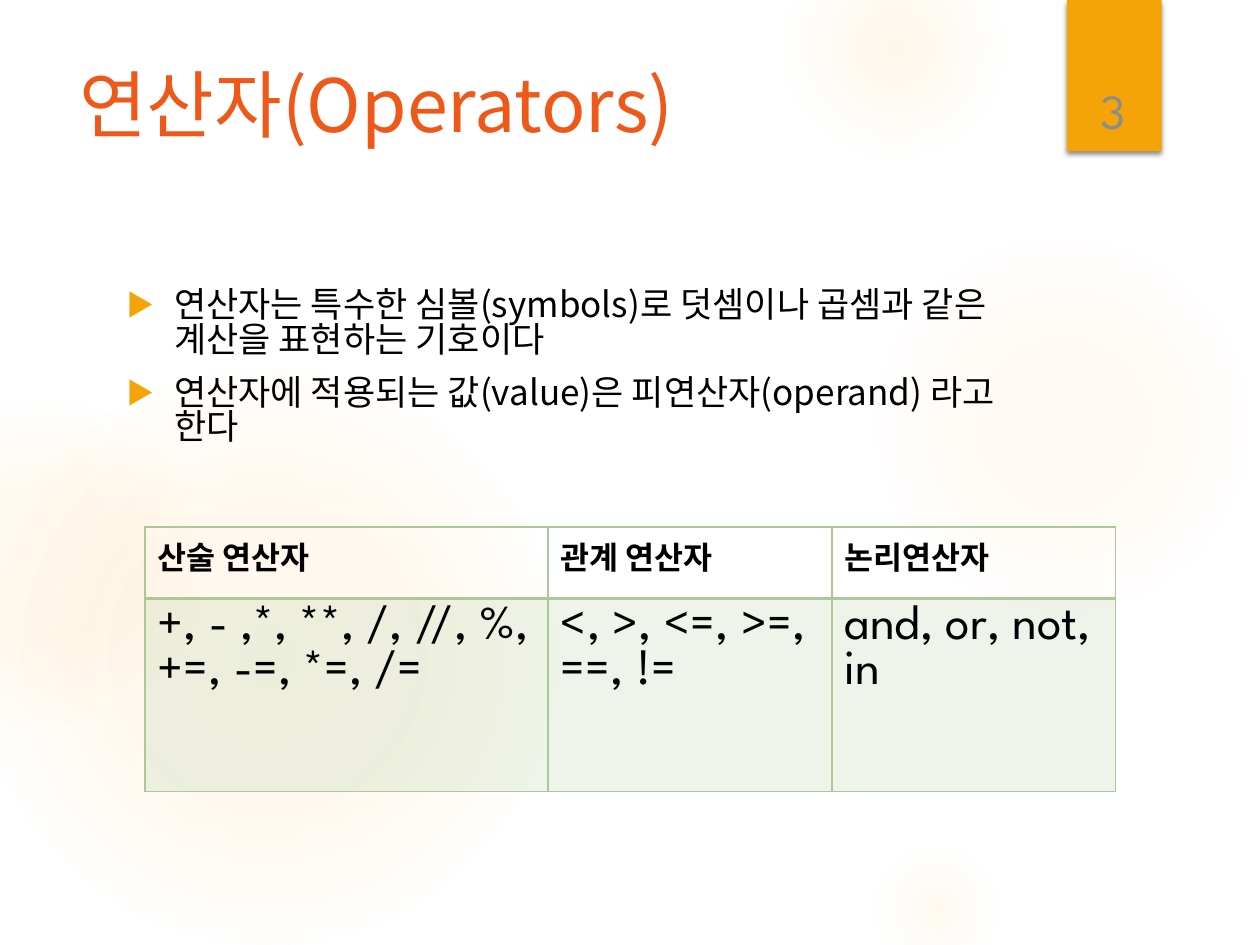
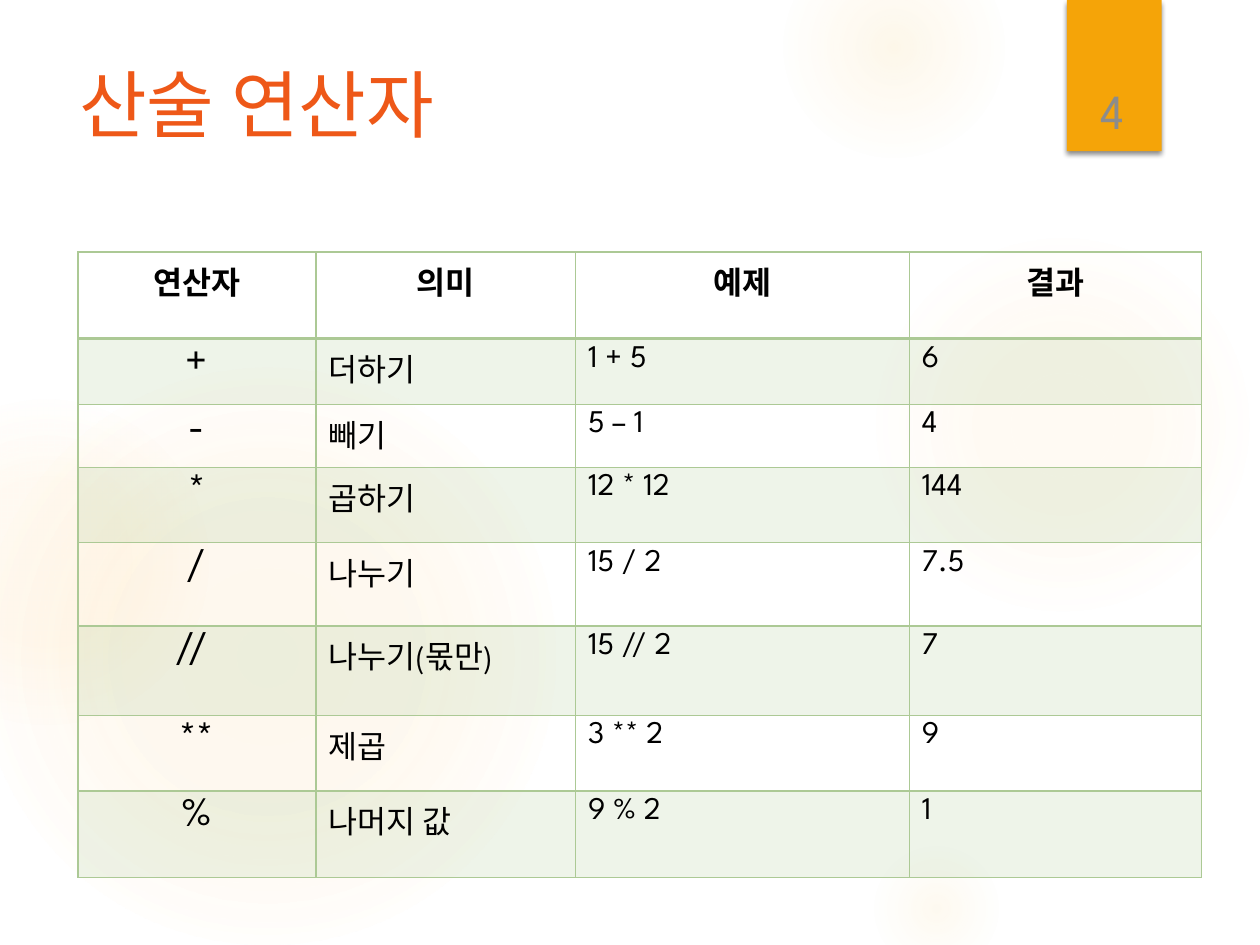
from lxml import etree
from pptx import Presentation
from pptx.dml.color import RGBColor
from pptx.enum.shapes import MSO_SHAPE
from pptx.enum.text import MSO_ANCHOR, PP_ALIGN
from pptx.oxml.ns import qn
from pptx.util import Cm, Pt

OVAL, RECT = MSO_SHAPE.OVAL, MSO_SHAPE.RECTANGLE
TOP, BOTTOM = MSO_ANCHOR.TOP, MSO_ANCHOR.BOTTOM
LEFT, CENTER = PP_ALIGN.LEFT, PP_ALIGN.CENTER
LATIN, KOREAN = "League Spartan", "Noto Sans CJK KR"
NO_STYLE = "{2D5ABB26-0587-4C30-8999-92F81FD0307C}"
COLORS = {"title": "EE5818", "text": "000000", "band": "F5A408",
          "glow": "FAC96A", "number": "8C8C8C", "table": "ACC995"}

GLOWS = [
    (17.5, 4.65, 7.82, [(0, 7), (36, 6), (69, 0)]),
    (15.8, -1.27, 4.45, [(0, 14), (36, 7), (73, 0)]),
    (17.5, 16.94, 2.74, [(0, 10), (31, 5), (66, 0)]),
    (-0.43, 7.42, 11.63, [(0, 11), (36, 10), (75, 0)]),
    (-2.34, 8.05, 6.55, [(0, 8), (36, 8), (72, 0)]),
]
BAND_BOX = (21.51, 0, 1.91, 3.05)
NUMBER_BOX = (21.56, 0.81, 1.75, 2.13)
TITLE_BOX = (1.35, 1.27, 19.61, 3.89)
BODY_BOX = (2.31, 5.72, 18.64, 11.66)

DEFINITIONS = [
    "연산자는 특수한 심볼(symbols)로 덧셈이나 곱셈과 같은 계산을 표현하는 기호이다",
    "연산자에 적용되는 값(value)은 피연산자(operand) 라고 한다",
]
KINDS = [
    ("산술 연산자", "관계 연산자", "논리연산자"),
    ("+, - ,*, **, /, //, %, +=, -=, *=, /=", "<, >, <=, >=, ==, !=",
     "and, or, not, in"),
]
ARITHMETIC = [
    ("연산자", "의미", "예제", "결과"),
    ("+", "더하기", "1 + 5", "6"),
    ("-", "빼기", "5 – 1", "4"),
    ("*", "곱하기", "12 * 12", "144"),
    ("/", "나누기", "15 / 2", "7.5"),
    ("// ", "나누기(몫만)", "15 // 2", "7"),
    ("**", "제곱", "3 ** 2", "9"),
    ("%", "나머지 값", "9 % 2", "1"),
]


def rgb(name):
    """Return a named colour."""
    return RGBColor.from_string(COLORS[name])


def child(parent, tag, **attrs):
    """Append a DrawingML element to its parent."""
    return etree.SubElement(parent, qn(f"a:{tag}"), {k: str(v) for k, v in attrs.items()})


def add_run(p, text, size, color, font, bold=False):
    """Append a formatted run to a paragraph."""
    r = p.add_run()
    r.text = text
    r.font.size, r.font.bold, r.font.name = Pt(size), bold, font
    r.font.color.rgb = rgb(color)
    child(r._r.get_or_add_rPr(), "ea", typeface=KOREAN)


def add_text_frame(s, box, anchor=TOP):
    """Add a wrapping text box and return its text frame."""
    tf = s.shapes.add_textbox(*map(Cm, box)).text_frame
    tf.word_wrap = True
    tf.vertical_anchor = anchor
    return tf


def add_plain_shape(s, kind, box):
    """Add a preset shape without line or inherited shadow."""
    sp = s.shapes.add_shape(kind, *map(Cm, box))
    sp.shadow.inherit = False
    sp.line.fill.background()
    return sp


def add_glow(s, x, y, size, stops):
    """Add a round glow that fades out from its centre."""
    sp = add_plain_shape(s, OVAL, (x, y, size, size))
    sp.fill.gradient()
    grad = sp._element.spPr.find(qn("a:gradFill"))
    for old in list(grad):
        grad.remove(old)
    stop_list = child(grad, "gsLst")
    for position, alpha in stops:
        stop = child(stop_list, "gs", pos=position * 1000)
        clr = child(stop, "srgbClr", val=COLORS["glow"])
        child(clr, "alpha", val=alpha * 1000)
    path = child(grad, "path", path="circle")
    child(path, "fillToRect", l=50000, t=50000, r=50000, b=50000)


def add_band(s, box):
    """Add the page-number band with its soft shadow."""
    sp = add_plain_shape(s, RECT, box)
    sp.fill.solid()
    sp.fill.fore_color.rgb = rgb("band")
    effects = sp._element.spPr.find(qn("a:effectLst"))
    shadow = child(effects, "outerShdw", blurRad=Pt(3), dist=Pt(2),
                   dir=90 * 60000, rotWithShape=0)
    child(child(shadow, "srgbClr", val=COLORS["text"]), "alpha", val=45000)


def add_base_slide(prs, title, number):
    """Add a slide with glows, band, title and page number."""
    s = prs.slides.add_slide(prs.slide_layouts[6])
    for glow in GLOWS:
        add_glow(s, *glow)
    add_band(s, BAND_BOX)
    p = add_text_frame(s, TITLE_BOX).paragraphs[0]
    p.line_spacing = 0.9
    add_run(p, title, 42, "title", KOREAN)
    p = add_text_frame(s, NUMBER_BOX, BOTTOM).paragraphs[0]
    p.alignment = CENTER
    add_run(p, str(number), 28, "number", LATIN)
    return s


def add_bullets(s, box, items):
    """Add paragraphs with triangular bullets and hanging indents."""
    tf = add_text_frame(s, box)
    for i, item in enumerate(items):
        p = tf.add_paragraph() if i else tf.paragraphs[0]
        pPr = p._p.get_or_add_pPr()
        pPr.set("marL", str(Cm(0.95)))
        pPr.set("indent", str(-Cm(0.95)))
        child(child(pPr, "buClr"), "srgbClr", val=COLORS["band"])
        child(pPr, "buSzPct", val=80000)
        child(pPr, "buFont", typeface=KOREAN)
        child(pPr, "buChar", char="▶")
        p.line_spacing = 0.83
        if i:
            p.space_before = Pt(10)
        add_run(p, item, 20, "text", KOREAN)


def style_cell(cell, row):
    """Draw cell borders and tint every odd row."""
    tcPr = cell._tc.get_or_add_tcPr()
    for side in "LRTB":
        under_header = (row, side) in ((0, "B"), (1, "T"))
        ln = child(tcPr, f"ln{side}", w=Pt(2 if under_header else 1))
        child(child(ln, "solidFill"), "srgbClr", val=COLORS["table"])
    if row % 2:
        cell.fill.solid()
        cell.fill.fore_color.rgb = rgb("table")
        clr = tcPr.find(qn("a:solidFill")).find(qn("a:srgbClr"))
        child(clr, "alpha", val=20000)
    else:
        cell.fill.background()


def add_grid(s, x, y, widths, heights, rows, text_format):
    """Add a table; text_format maps row and column to size and alignment."""
    box = (x, y, sum(widths), sum(heights))
    table = s.shapes.add_table(len(rows), len(widths), *map(Cm, box)).table
    table._tbl.tblPr.find(qn("a:tableStyleId")).text = NO_STYLE
    for column, width in zip(table.columns, widths):
        column.width = Cm(width)
    for i, (height, texts) in enumerate(zip(heights, rows)):
        table.rows[i].height = Cm(height)
        for j, text in enumerate(texts):
            cell = table.cell(i, j)
            style_cell(cell, i)
            size, align = text_format(i, j)
            p = cell.text_frame.paragraphs[0]
            p.alignment = align
            add_run(p, text, size, "text", LATIN, bold=i == 0)


def kinds_format(row, col):
    """Return size and alignment in the table of operator kinds."""
    return (28 if row else 18), LEFT


def arithmetic_format(row, col):
    """Return size and alignment in the arithmetic table."""
    size = 24 if row and col == 0 else 18
    return size, (CENTER if row == 0 or col == 0 else LEFT)


def build_operators(prs):
    """Build the slide that introduces operators."""
    s = add_base_slide(prs, "연산자(Operators)", 3)
    add_bullets(s, BODY_BOX, DEFINITIONS)
    add_grid(s, 2.92, 10.62, (8.13, 5.72, 5.72), (1.45, 3.89), KINDS, kinds_format)


def build_arithmetic(prs):
    """Build the slide that lists arithmetic operators."""
    s = add_base_slide(prs, "산술 연산자", 4)
    add_grid(s, 1.57, 5.08, (4.8, 5.23, 6.73, 5.89),
             (1.75, 1.32, 1.27, 1.52, 1.68, 1.8, 1.52, 1.75),
             ARITHMETIC, arithmetic_format)


def main():
    """Build and save the presentation."""
    prs = Presentation()
    prs.slide_width, prs.slide_height = Cm(25.4), Cm(19.05)
    build_operators(prs)
    build_arithmetic(prs)
    prs.save("out.pptx")


if __name__ == "__main__":
    main()
